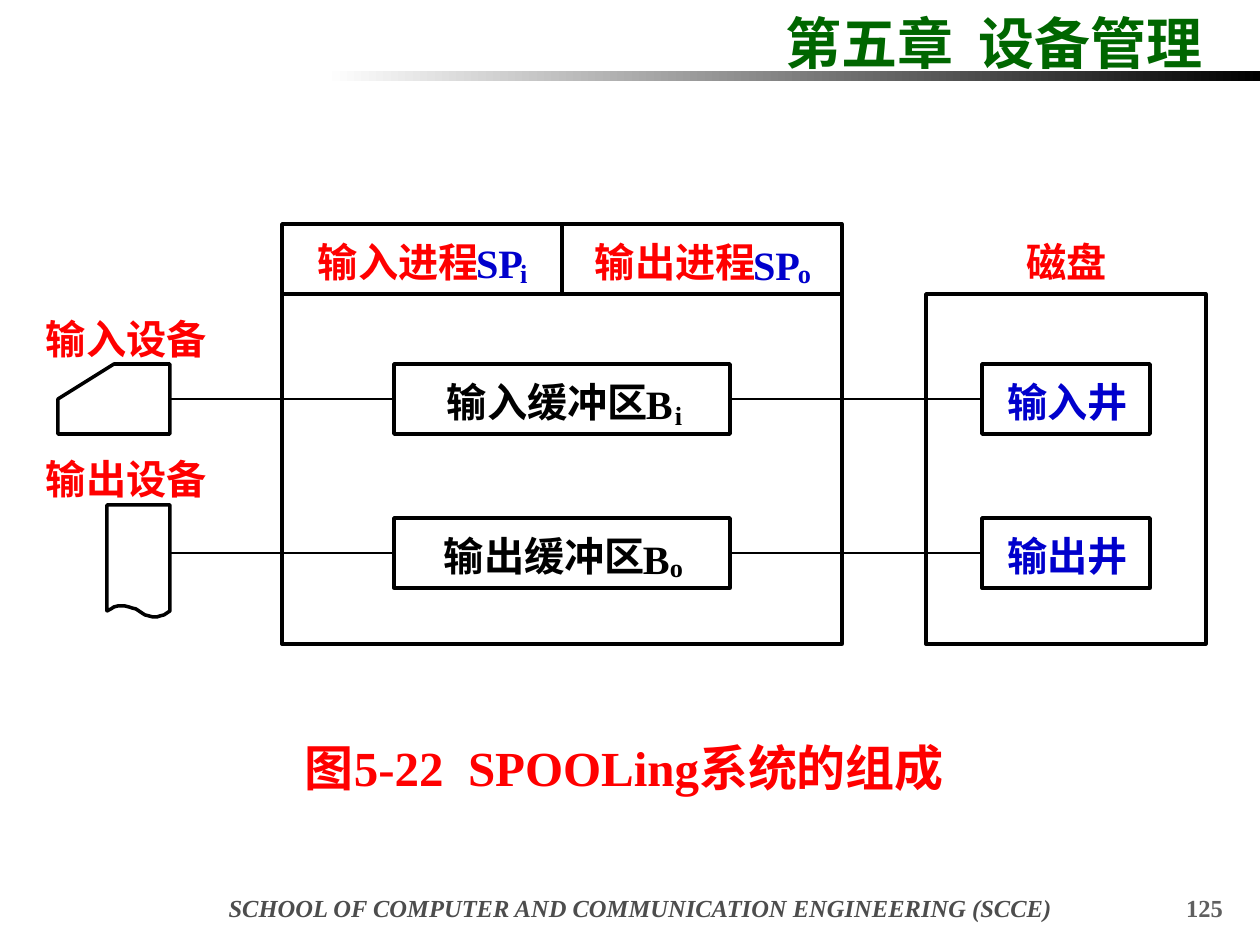
from pptx import Presentation, util as u
from pptx.dml.color import RGBColor
from pptx.enum import shapes, text
from pptx.oxml.ns import qn
from lxml import etree

PX = 914400 / 126
RED, BLUE, BLACK, WHITE = "FF0000", "0000CC", "000000", "FFFFFF"
LEFT, CENTER, RIGHT = text.PP_ALIGN.LEFT, text.PP_ALIGN.CENTER, text.PP_ALIGN.RIGHT

rgb = RGBColor.from_string


def box(*lengths):
    """Turn px lengths into EMU."""
    return [u.Emu(round(v * PX)) for v in lengths]


def write(sp, words, size, color, align=LEFT, margins=(13, 6), wrap=False, italic=False):
    tf = sp.text_frame
    tf.word_wrap = wrap
    tf.auto_size = text.MSO_AUTO_SIZE.NONE
    tf.vertical_anchor = text.MSO_ANCHOR.TOP
    tf.margin_left, tf.margin_top = tf.margin_right, tf.margin_bottom = box(*margins)
    p = tf.paragraphs[0]
    p.alignment = align
    r = p.add_run()
    r.text = words
    r.font.name, r.font.size = "Times New Roman", u.Pt(size)
    r.font.bold, r.font.italic = True, italic
    r.font.color.rgb = rgb(color)


prs = Presentation()
prs.slide_width, prs.slide_height = box(1260, 945)
s = prs.slides.add_slide(prs.slide_layouts[5])

# Chapter heading and the bar below it
title = s.shapes.title
title.left, title.top, title.width, title.height = box(772, 3, 483, 80)
write(title, "第五章  设备管理", 32, "006600")

bar = s.shapes.add_shape(shapes.MSO_SHAPE.RECTANGLE, *box(325, 71, 935, 10))
bar.shadow.inherit = False
bar.line.fill.background()
bar.fill.gradient()
bar.fill.gradient_angle = 0
for stop, position, color in zip(bar.fill.gradient_stops, (0, 1), (WHITE, BLACK)):
    stop.position, stop.color.rgb = position, rgb(color)

# Footer, page number and caption
write(s.shapes.add_textbox(*box(154, 887, 973, 43)),
      "SCHOOL OF COMPUTER AND COMMUNICATION ENGINEERING (SCCE)",
      14, "4D4D4D", CENTER, wrap=True, italic=True)
write(s.shapes.add_textbox(*box(1154, 887, 82, 35)), "125", 14, "5F5F5F", RIGHT, wrap=True)
write(s.shapes.add_textbox(*box(292, 731, 697, 72)), "图5-22  SPOOLing系统的组成", 28, RED)

# Memory, disk, buffers and wells
ROWS = 364, 518
ROW_H = 70
outlines = []
frames = [(282, 224, 280, ROW_H), (562, 224, 280, ROW_H),
          (282, 294, 560, 350), (926, 294, 280, 350)]
blocks = [(x, y, w, ROW_H) for y in ROWS for x, w in ((394, 336), (982, 168))]
for rect in frames + blocks:
    sp = s.shapes.add_shape(shapes.MSO_SHAPE.RECTANGLE, *box(*rect))
    outlines.append(sp)

# Input card and output paper
card = [(58, 434), (170, 434), (170, 364), (114, 364), (58, 399)]
paper = [(170, 611), (170, 505), (107, 505), (107, 611), (111, 609), (114, 607),
         (118, 606), (121, 606), (125, 606), (129, 607), (132, 608), (136, 609),
         (139, 611), (142, 613), (145, 615), (149, 616), (153, 617), (157, 617),
         (160, 616), (164, 615), (167, 613)]
for points in (card, paper):
    fb = s.shapes.build_freeform(*points[0], scale=PX)
    fb.add_line_segments(points[1:], close=True)
    outlines.append(fb.convert_to_shape())

for sp in outlines:
    sp.shadow.inherit = False
    sp.fill.solid()
    sp.fill.fore_color.rgb = rgb(WHITE)
    sp.line.color.rgb = rgb(BLACK)
    sp.line.width = u.Pt(2)

# Links between devices, buffers and wells
for y in ROWS:
    mid = y + ROW_H // 2
    for x1, x2 in ((170, 394), (730, 982)):
        link = s.shapes.add_connector(shapes.MSO_CONNECTOR.STRAIGHT, *box(x1, mid, x2, mid))
        link.line.color.rgb = rgb(BLACK)
        link.line.width = u.Pt(1.13)
        etree.SubElement(link._element.spPr, qn("a:effectLst"))

# Labels: left, top, width, words, size, colour
labels = [
    (318, 237, 161, "输入进程", 23, RED),
    (476, 238, 47, "SP", 23, BLUE),
    (520, 257, 8, "i", 15, BLUE),
    (595, 237, 161, "输出进程", 23, RED),
    (753, 240, 47, "SP", 23, BLUE),
    (798, 257, 14, "o", 15, BLUE),
    (447, 377, 202, "输入缓冲区", 23, BLACK),
    (646, 379, 26, "B", 23, BLACK),
    (675, 399, 8, "i", 15, BLACK),
    (444, 531, 202, "输出缓冲区", 23, BLACK),
    (643, 534, 26, "B", 23, BLACK),
    (670, 551, 14, "o", 15, BLACK),
    (1007, 377, 121, "输入井", 23, BLUE),
    (1007, 531, 121, "输出井", 23, BLUE),
    (1026, 237, 81, "磁盘", 23, RED),
    (46, 314, 161, "输入设备", 23, RED),
    (46, 454, 161, "输出设备", 23, RED),
]
for x, y, w, words, size, color in labels:
    write(s.shapes.add_textbox(*box(x, y, w, 2 * size + 2)), words, size, color, margins=(0, 0))

prs.save("out.pptx")
